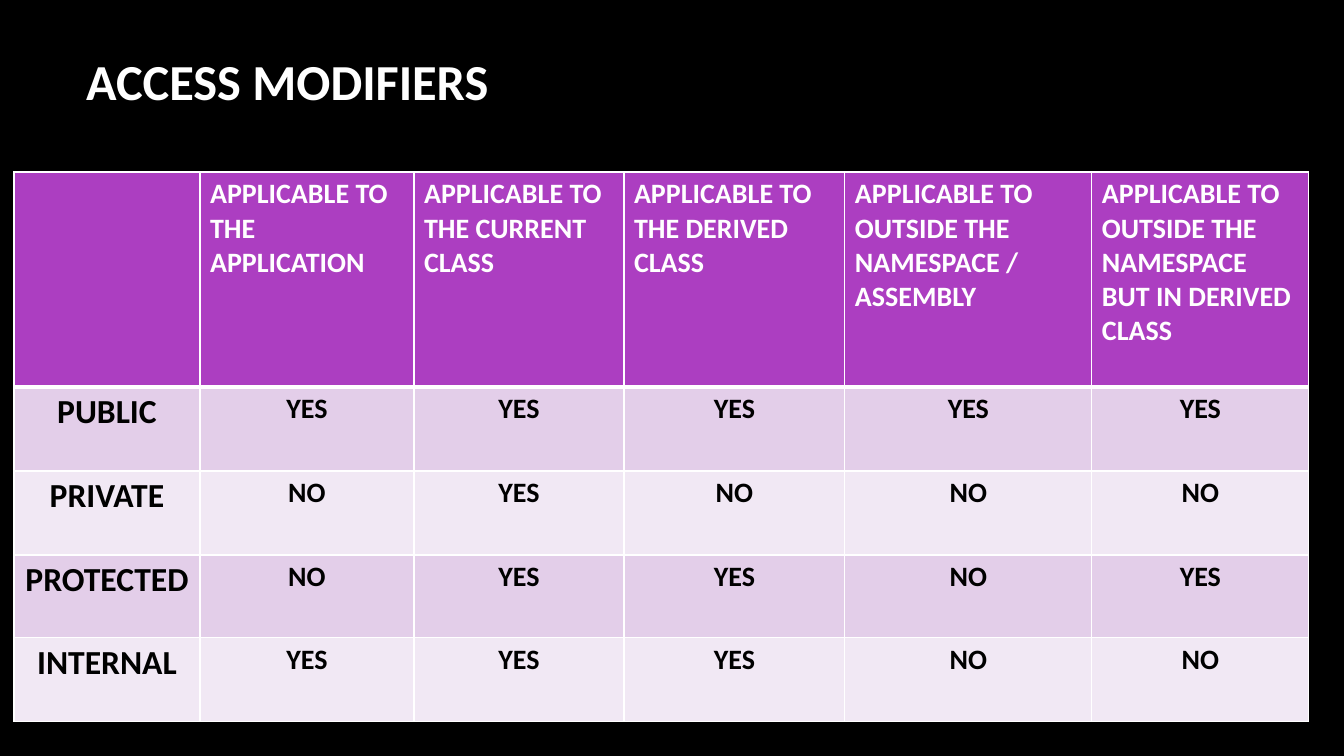
"""Build the access modifiers slide with its table."""
from lxml.etree import SubElement
from pptx import Presentation
from pptx.dml.color import RGBColor
from pptx.enum.text import MSO_ANCHOR, PP_ALIGN
from pptx.oxml.ns import qn
from pptx.util import Emu, Pt

TITLE = "ACCESS MODIFIERS"
HEADS = [
    "",
    "APPLICABLE TO THE APPLICATION",
    "APPLICABLE TO THE CURRENT CLASS",
    "APPLICABLE TO THE DERIVED CLASS",
    "APPLICABLE TO OUTSIDE THE NAMESPACE / ASSEMBLY",
    "APPLICABLE TO OUTSIDE THE NAMESPACE BUT IN DERIVED CLASS",
]
ROWS = [
    ["PUBLIC", "YES", "YES", "YES", "YES", "YES"],
    ["PRIVATE", "NO", "YES", "NO", "NO", "NO"],
    ["PROTECTED", "NO", "YES", "YES", "NO", "YES"],
    ["INTERNAL", "YES", "YES", "YES", "NO", "NO"],
]
WIDTHS = [186, 214, 210, 221, 247, 217]
HEIGHTS = [215, 84, 84, 83, 84]
FONT = "Calibri"
WHITE, BLACK = "FFFFFF", "000000"
PURPLE, BANDS = "AC3EC1", ["E3CEE9", "F1E8F4"]


def px(n):
    """Turn pixels into EMU."""
    return Emu(round(n * 914400 / 100.8))


def paint(fill, color):
    """Give a fill one solid colour."""
    fill.solid()
    fill.fore_color.rgb = RGBColor.from_string(color)


def write(frame, text, size, color, align):
    """Write one bold run into a text frame."""
    para = frame.paragraphs[0]
    para.alignment = align
    run = para.add_run()
    run.text = text
    run.font.name = FONT
    run.font.size = Pt(size)
    run.font.bold = True
    run.font.color.rgb = RGBColor.from_string(color)


def edge(cell, side, width):
    """Draw a white border on one side of a cell."""
    props = cell._tc.get_or_add_tcPr()
    line = SubElement(props, qn(f"a:ln{side}"), w=str(Pt(width)))
    SubElement(SubElement(line, qn("a:solidFill")), qn("a:srgbClr"), val=WHITE)


def fill_cell(cell, text, row, col):
    """Style a cell by its place in the table."""
    head = row == 0
    for side in "LRTB":
        thick = (row, side) in [(0, "B"), (1, "T")]
        edge(cell, side, 3 if thick else 1)
    paint(cell.fill, PURPLE if head else BANDS[(row - 1) % 2])
    if text:
        write(cell.text_frame, text, 20 if head or col else 24,
              WHITE if head else BLACK,
              PP_ALIGN.LEFT if head else PP_ALIGN.CENTER)


def main():
    """Build and save the slide."""
    deck = Presentation()
    deck.slide_width, deck.slide_height = px(1344), px(756)
    slide = deck.slides.add_slide(deck.slide_layouts[5])
    paint(slide.background.fill, BLACK)

    title = slide.shapes.title
    title.left, title.top, title.width, title.height = map(px, (76, 0, 1117, 160))
    title.text_frame.vertical_anchor = MSO_ANCHOR.MIDDLE
    write(title.text_frame, TITLE, 36, WHITE, PP_ALIGN.LEFT)

    box = map(px, (14, 172, sum(WIDTHS), sum(HEIGHTS)))
    table = slide.shapes.add_table(len(HEIGHTS), len(WIDTHS), *box).table
    for col, width in zip(table.columns, WIDTHS):
        col.width = px(width)
    for row, height in zip(table.rows, HEIGHTS):
        row.height = px(height)
    for r, texts in enumerate([HEADS] + ROWS):
        for c, text in enumerate(texts):
            fill_cell(table.cell(r, c), text, r, c)

    deck.save("out.pptx")


if __name__ == "__main__":
    main()
